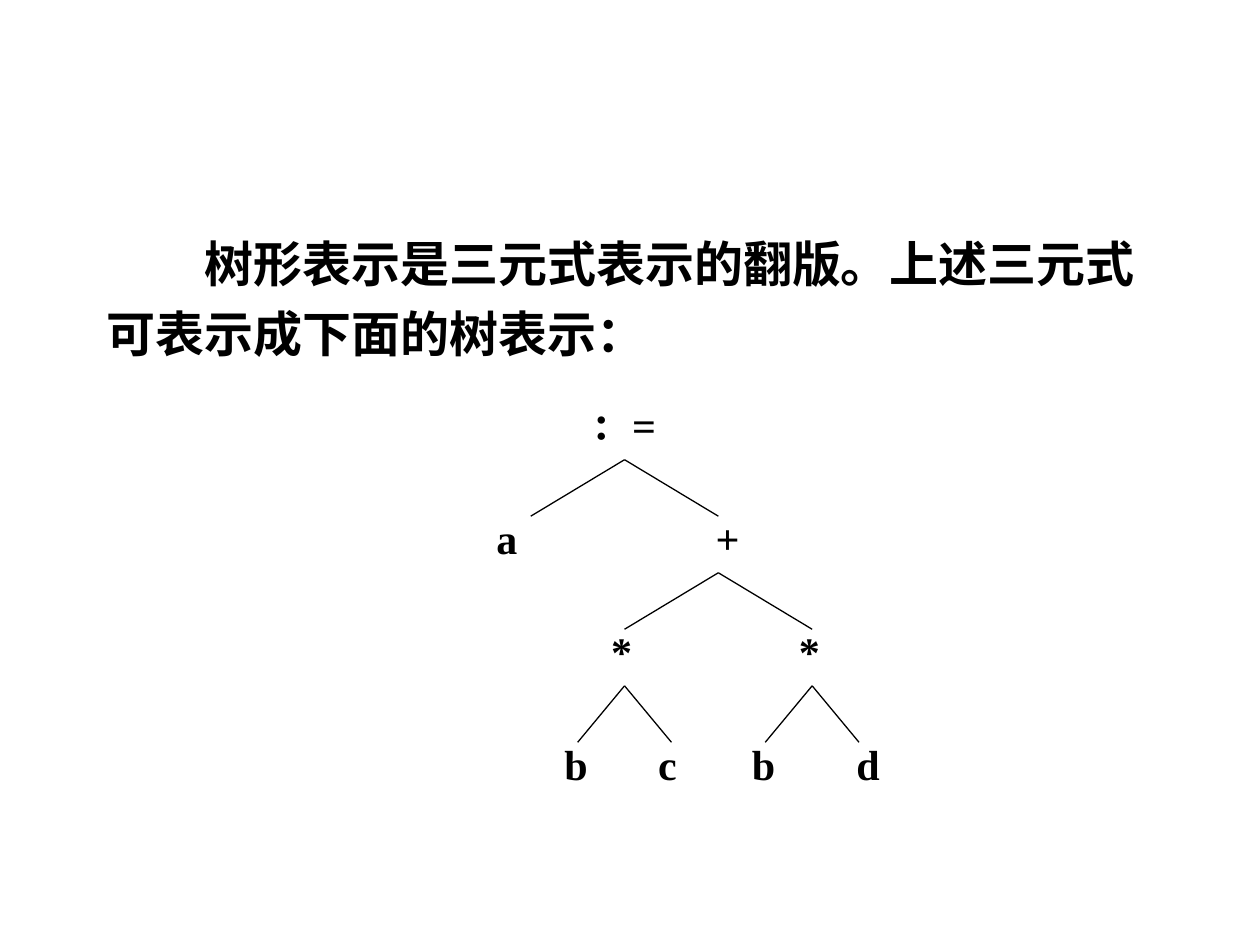
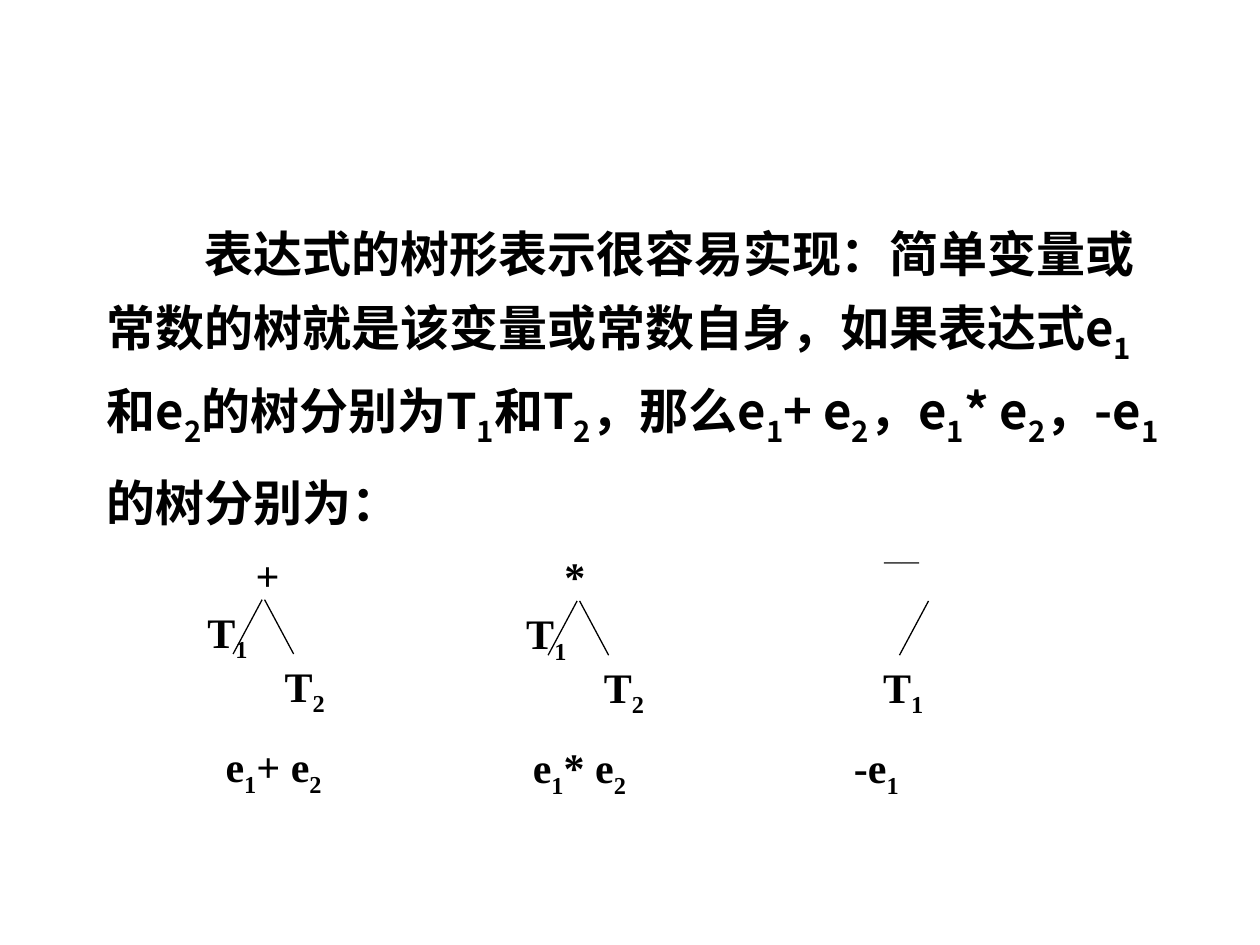
import pptx
import pptx.util
import pptx.dml.color
import pptx.enum.shapes
import pptx.enum.text
import pptx.oxml
import pptx.oxml.ns

Pt = pptx.util.Pt
BLACK = pptx.dml.color.RGBColor(0, 0, 0)
ALIGN = pptx.enum.text.PP_ALIGN
BODY = {"name": "Noto Sans CJK SC", "size": Pt(28), "bold": True}
NODE = {"name": "Times New Roman", "size": Pt(24), "bold": True}
RULE = {**NODE, "size": Pt(10)}
SUB = -25000


def add_run(para, text, look, sub=False):
    run = para.add_run()
    run.text = text
    for key, value in look.items():
        setattr(run.font, key, value)
    run.font.color.rgb = BLACK
    props = run._r.get_or_add_rPr()
    east = pptx.oxml.parse_xml(
        f'<a:ea {pptx.oxml.ns.nsdecls("a")} typeface="{look["name"]}"/>')
    props.find(pptx.oxml.ns.qn("a:latin")).addnext(east)
    if sub:
        props.set("baseline", str(SUB))


def add_text(slide, box, text, look, sub_look=None, **form):
    """Place text in a box; the digit after each underscore is a subscript."""
    shape = slide.shapes.add_textbox(*map(Pt, box))
    shape.text_frame.word_wrap = True
    para = shape.text_frame.paragraphs[0]
    for key, value in form.items():
        setattr(para, key, value)
    first, *rest = text.split("_")
    add_run(para, first, look)
    for part in rest:
        add_run(para, part[0], sub_look or look, sub=True)
        if part[1:]:
            add_run(para, part[1:], look)
    return shape


def add_line(slide, start, end):
    line = slide.shapes.add_connector(
        pptx.enum.shapes.MSO_CONNECTOR.STRAIGHT, *map(Pt, (*start, *end)))
    line.line.color.rgb = BLACK
    line.line.width = Pt(0.75)
    line._element.spPr.append(pptx.oxml.parse_xml(
        f'<a:effectLst {pptx.oxml.ns.nsdecls("a")}/>'))
    return line


def add_body(slide, box, text, pitch, inset):
    shape = add_text(slide, box, text, BODY, {**BODY, "size": Pt(29)},
                     line_spacing=Pt(pitch))
    shape.text_frame.margin_top = Pt(inset)
    props = shape.text_frame.paragraphs[0]._p.get_or_add_pPr()
    props.set("indent", str(Pt(56)))


def draw_tree(slide, left, top, dx=26.8, dy=32.3):
    """Draw the assignment tree on a grid of dx by dy."""
    nodes = {  # key: label, column, row, indent
        "set": ("：=", 2, 0, 0), "a": ("a", 0, 2, 0), "sum": ("+", 4, 2, 18),
        "mul1": ("*", 2, 4, 12), "mul2": ("*", 6, 4, 12),
        "b1": ("b", 1, 6, 12), "c": ("c", 3, 6, 12),
        "b2": ("b", 5, 6, 12), "d": ("d", 7, 6, 18)}
    edges = {"set": ("a", "sum"), "sum": ("mul1", "mul2"),
             "mul1": ("b1", "c"), "mul2": ("b2", "d")}
    shapes = {}
    for key, (label, col, row, indent) in nodes.items():
        width = 3 * dx if key == "set" else 2 * dx
        box = left + col * dx, top + row * dy, width, dy
        shape = add_text(slide, box, label, NODE, line_spacing=0.8,
                         alignment=ALIGN.JUSTIFY)
        shape.text_frame.margin_left = Pt(7.2 + indent)
        shapes[key] = shape

    def point(key, down):
        _, col, row, _ = nodes[key]
        return left + (col + 1) * dx, top + (row + down) * dy

    for head, kids in edges.items():
        for kid in kids:
            line = add_line(slide, point(head, 1), point(kid, 0))
            if head != "set":
                line.begin_connect(shapes[head], 2)
            line.end_connect(shapes[kid], 0)


def draw_rule(slide, apex, top, labels, legs):
    """Draw a small operator tree; labels are (text, dx, dy, look)."""
    for text, dx, dy, look in labels:
        width = 83 if dy > 100 else 49.7
        add_text(slide, (apex + dx, top + dy, width, 46.8), text, look,
                 alignment=ALIGN.JUSTIFY)
    for start, end in legs:
        add_line(slide, (apex + start, top + 32.4), (apex + end, top + 63.4))


def fill_tree(slide):
    add_body(slide, (54, 120.2, 617.8, 87.8),
             "树形表示是三元式表示的翻版。上述三元式可表示成下面的树表示：", 40, 6.8)
    draw_tree(slide, 276.5, 230.4)


def fill_rules(slide):
    add_body(slide, (54, 113.8, 617.8, 190),
             "表达式的树形表示很容易实现：简单变量或常数的树就是该变量或常数自身，"
             "如果表达式e_1和e_2的树分别为T_1和T_2，那么e_1+ e_2，e_1* e_2，"
             "-e_1的树分别为：", 47.4, 0)
    high, low, foot = 32.6, 63.4, 109.4
    one, two = (0, -16.6), (1.4, 18)
    draw_rule(slide, 149.8, 310.3, [
        ("+", -10.8, 0, NODE), ("T_1", -38.4, high, NODE),
        ("T_2", 5.8, low, NODE), ("e_1+ e_2", -28, foot, NODE)], [one, two])
    draw_rule(slide, 329.8, 311, [
        ("*", -14.4, 0, NODE), ("T_1", -36.2, high, NODE),
        ("T_2", 8.2, low, NODE), ("e_1* e_2", -32.4, foot, NODE)], [one, two])
    draw_rule(slide, 530.6, 311, [
        ("——", -32.4, 0, RULE), ("T_1", -33.1, low, NODE),
        ("-e_1", -49.7, foot, NODE)], [one])


def main():
    deck = pptx.Presentation()
    deck.slide_width, deck.slide_height = Pt(720), Pt(540)
    for fill in (fill_tree, fill_rules):
        fill(deck.slides.add_slide(deck.slide_layouts[6]))
    deck.save("out.pptx")


if __name__ == "__main__":
    main()
